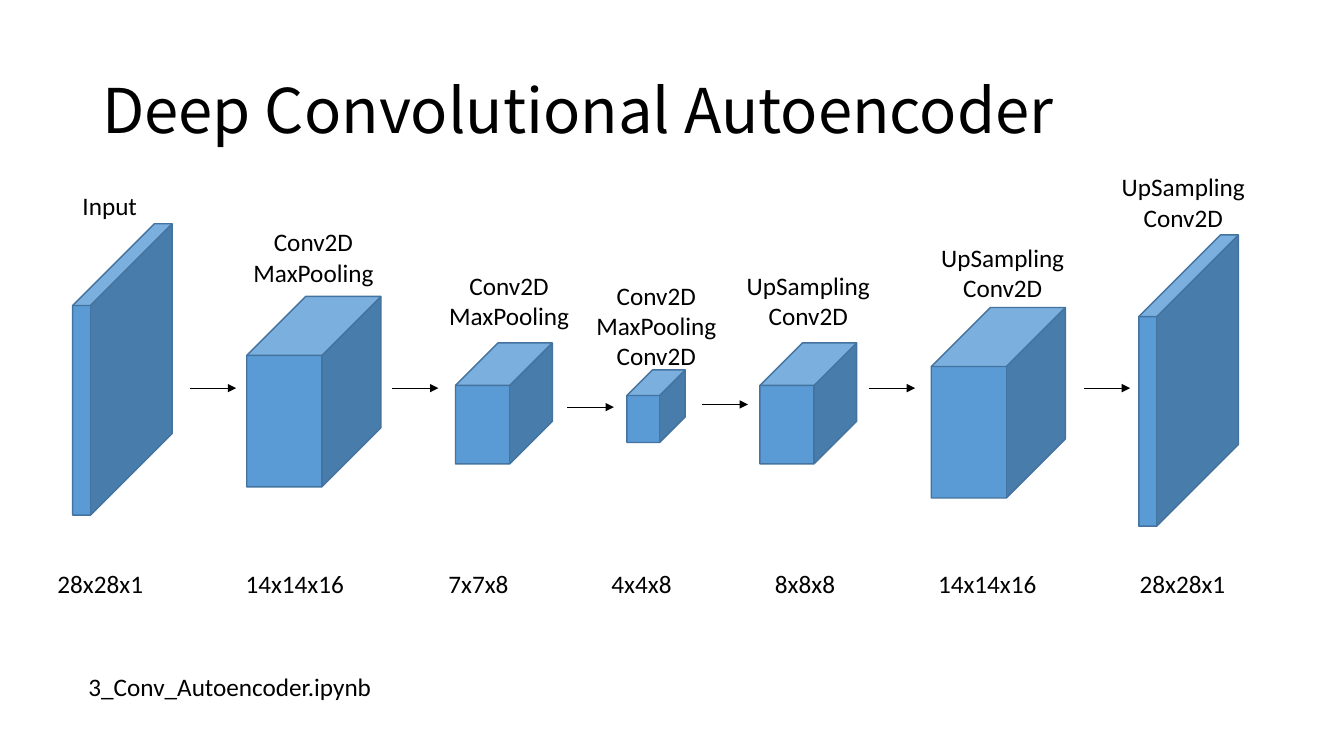
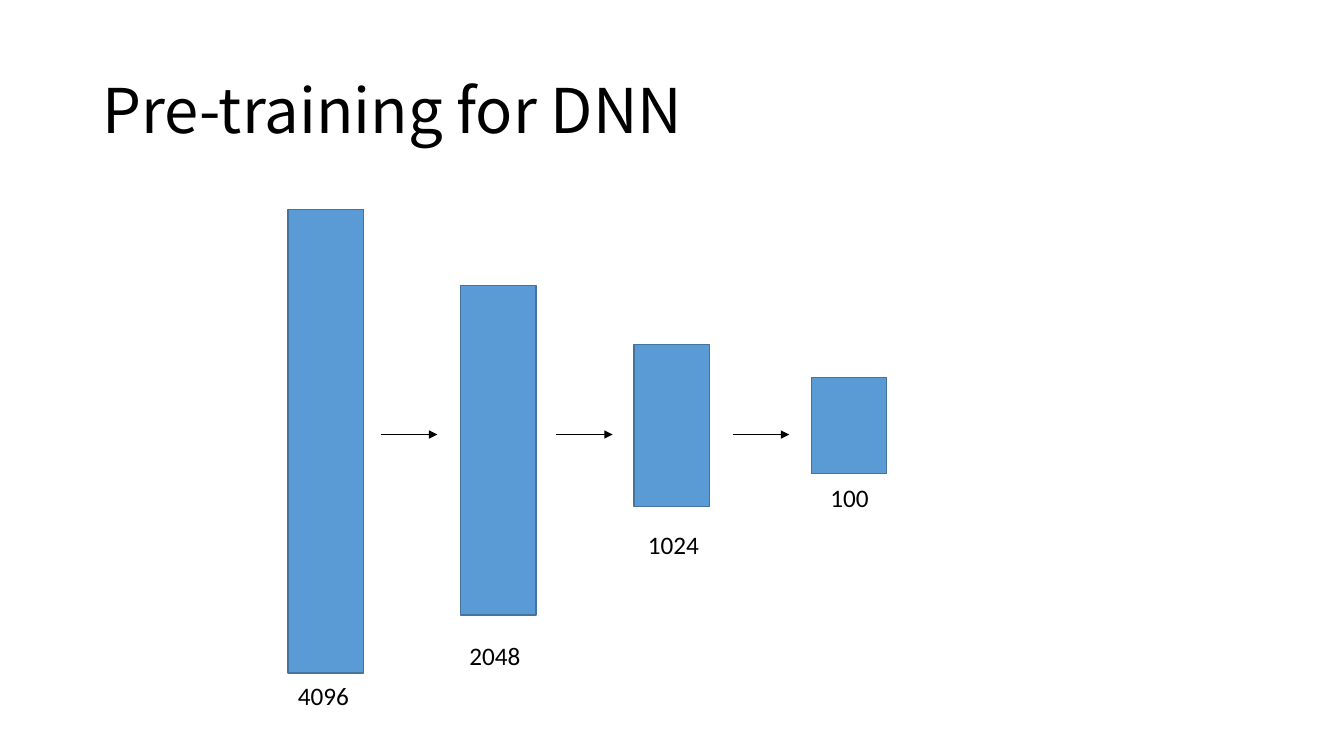
from itertools import zip_longest

from lxml import etree
from pptx import Presentation
from pptx import util as u
from pptx.dml.color import RGBColor
from pptx.enum import shapes, text
from pptx.oxml import ns

# Shared style
TITLE_FONT, BODY_FONT = "Noto Sans CJK SC", "Calibri"
BLACK, BLUE, DARK_BLUE = "000000", "5B9BD5", "43739E"
TITLE_BOX = (2.33, 1.02, 29.21, 3.68)

# Cube sizes: width, height, depth adjustment
CUBES = {
    "image": (2.51, 7.34, 0.82),
    "large": (3.38, 4.8, 0.44),
    "medium": (2.44, 3.05, 0.44),
    "small": (1.47, 1.83, 0.44),
}
POOL = "Conv2D\nMaxPooling"
UPSAMPLE = "UpSampling\nConv2D"

# Layers, in cm from the corner of the diagram: cube size, cube position,
# (operations, left, top, width), (dimensions, left, width)
LAYERS = [
    ("image", (0.63, 1.44), ("Input", 0.63, 0.47, 1.91), ("28x28x1", 0, 2.69)),
    ("large", (5.02, 3.27), (POOL, 4.92, 1.39, 3.56), ("14x14x16", 4.74, 3.02)),
    ("medium", (10.28, 4.44), (POOL, 9.85, 2.48, 3.56), ("7x7x8", 9.85, 2.03)),
    ("small", (14.6, 5.12), (POOL + "\nConv2D", 13.56, 2.73, 3.56), ("4x4x8", 13.96, 2.03)),
    ("medium", (17.95, 4.44), (UPSAMPLE, 17.34, 2.48, 3.66), ("8x8x8", 18.08, 2.03)),
    ("large", (22.27, 3.55), (UPSAMPLE, 22.24, 1.77, 3.66), ("14x14x16", 22.19, 3.02)),
    ("image", (27.5, 1.72), (UPSAMPLE, 26.79, 0, 3.66), ("28x28x1", 27.27, 2.69)),
]
LAYER_ARROWS = [(3.58, 5.58), (8.68, 5.58), (13.1, 6.06),
                (16.48, 5.99), (20.69, 5.58), (26.11, 5.58)]

# Bars, in cm from the corner of the diagram: left, top, height,
# (units, left, top, width), left of the arrow that follows
BARS = [
    (0, 0, 11.68, ("4096", 0, 11.74, 1.8), 2.34),
    (4.35, 1.91, 8.31, ("2048", 4.32, 10.72, 1.8), 6.76),
    (8.72, 3.4, 4.09, ("1024", 8.82, 7.93, 1.8), 11.21),
    (13.19, 4.24, 2.41, ("100", 13.42, 6.76, 1.5), None),
]


def color(value):
    return RGBColor.from_string(value)


def add_text(slide, content, left, top, width, height, size, font):
    box = slide.shapes.add_textbox(u.Cm(left), u.Cm(top), u.Cm(width), u.Cm(height))
    frame = box.text_frame
    frame.text = content
    for paragraph in frame.paragraphs:
        for run in paragraph.runs:
            run.font.size = u.Pt(size)
            run.font.name = font
            run.font.color.rgb = color(BLACK)
    return frame


def add_title(slide, content):
    frame = add_text(slide, content, *TITLE_BOX, 44, TITLE_FONT)
    frame.word_wrap = True
    frame.vertical_anchor = text.MSO_ANCHOR.MIDDLE
    frame.paragraphs[0].line_spacing = 0.9


def add_label(slide, content, left, top, width):
    lines = len(content.split("\n"))
    frame = add_text(slide, content, left, top, width, 0.25 + 0.77 * lines, 18, BODY_FONT)
    frame.word_wrap = False
    frame.auto_size = text.MSO_AUTO_SIZE.SHAPE_TO_FIT_TEXT
    if lines > 1:
        for paragraph in frame.paragraphs:
            paragraph.alignment = text.PP_ALIGN.CENTER


def add_block(slide, kind, left, top, width, height):
    shape = slide.shapes.add_shape(kind, u.Cm(left), u.Cm(top), u.Cm(width), u.Cm(height))
    shape.shadow.inherit = False
    shape.fill.solid()
    shape.fill.fore_color.rgb = color(BLUE)
    shape.line.color.rgb = color(DARK_BLUE)
    shape.line.width = u.Pt(1)
    return shape


def add_arrow(slide, left, top, length):
    arrow = slide.shapes.add_connector(
        shapes.MSO_CONNECTOR.STRAIGHT,
        u.Cm(left), u.Cm(top), u.Cm(left + length), u.Cm(top))
    arrow.line.color.rgb = color(BLACK)
    arrow.line.width = u.Pt(0.5)
    properties = arrow.element.spPr
    etree.SubElement(properties.find(ns.qn("a:ln")), ns.qn("a:tailEnd"), type="triangle")
    etree.SubElement(properties, ns.qn("a:effectLst"))


def add_autoencoder(slide, left, top):
    for layer, arrow in zip_longest(LAYERS, LAYER_ARROWS):
        size, (cube_x, cube_y), operations, dimensions = layer
        # Cube
        width, height, depth = CUBES[size]
        cube = add_block(slide, shapes.MSO_SHAPE.CUBE,
                         left + cube_x, top + cube_y, width, height)
        cube.adjustments[0] = depth
        # Operations above, dimensions in the bottom row
        content, x, y, width = operations
        add_label(slide, content, left + x, top + y, width)
        content, x, width = dimensions
        add_label(slide, content, left + x, top + 10, width)
        # Arrow to the next layer
        if arrow:
            add_arrow(slide, left + arrow[0], top + arrow[1], 1.17)


def add_network(slide, left, top):
    for x, y, height, units, arrow_x in BARS:
        add_block(slide, shapes.MSO_SHAPE.RECTANGLE, left + x, top + y, 1.9, height)
        content, label_x, label_y, width = units
        add_label(slide, content, left + label_x, top + label_y, width)
        if arrow_x is not None:
            add_arrow(slide, left + arrow_x, top + 5.67, 1.42)


def add_slide(presentation, title):
    slide = presentation.slides.add_slide(presentation.slide_layouts[6])
    add_title(slide, title)
    return slide


def main():
    presentation = Presentation()
    presentation.slide_width = u.Cm(33.87)
    presentation.slide_height = u.Cm(19.05)

    # Convolutional autoencoder
    slide = add_slide(presentation, "Deep Convolutional Autoencoder")
    add_autoencoder(slide, 1.2, 4.2)
    add_label(slide, "3_Conv_Autoencoder.ipynb", 1.98, 16.79, 7.75)

    # Pre-training
    slide = add_slide(presentation, "Pre-training for DNN")
    add_network(slide, 7.26, 5.28)

    presentation.save("out.pptx")


if __name__ == "__main__":
    main()
